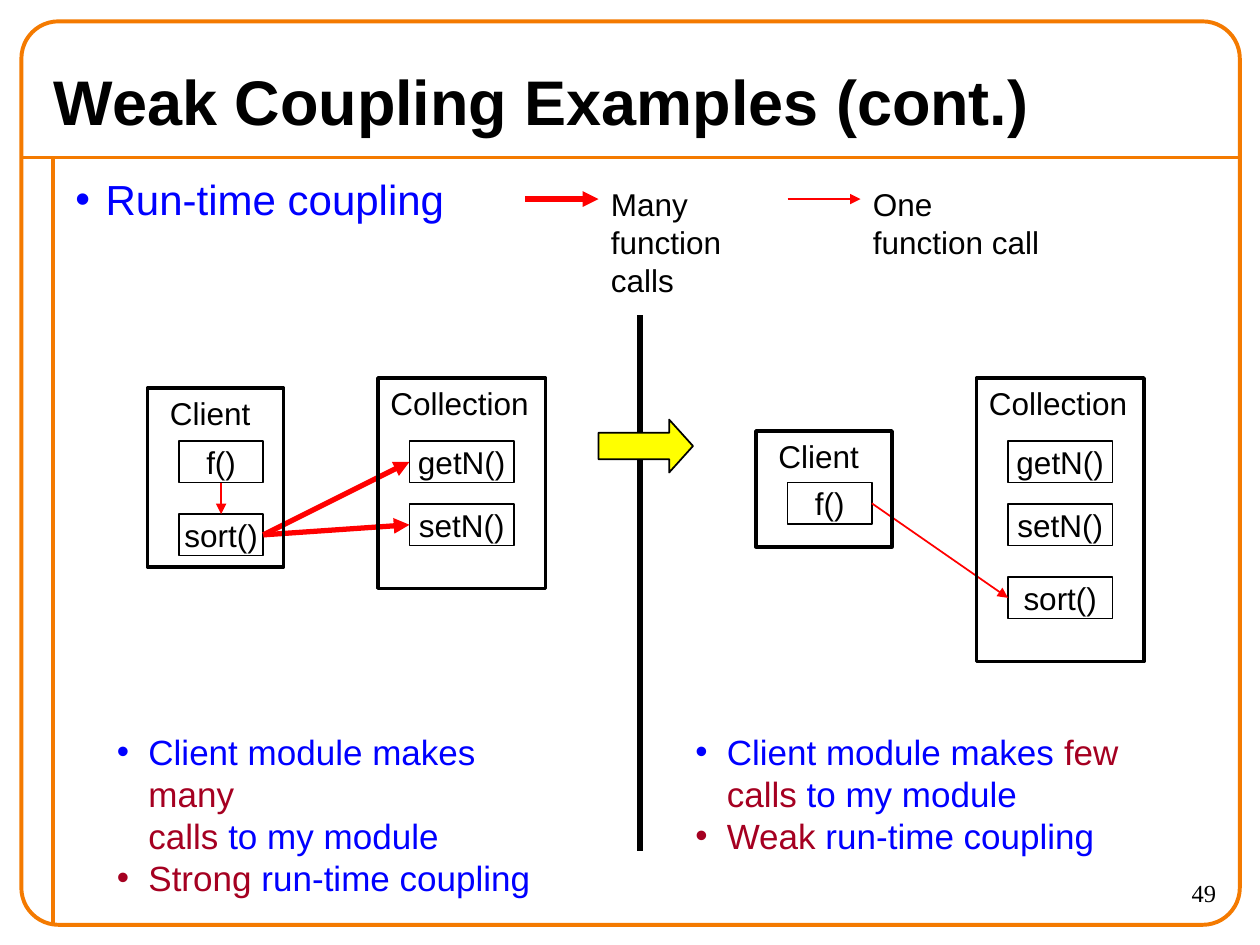
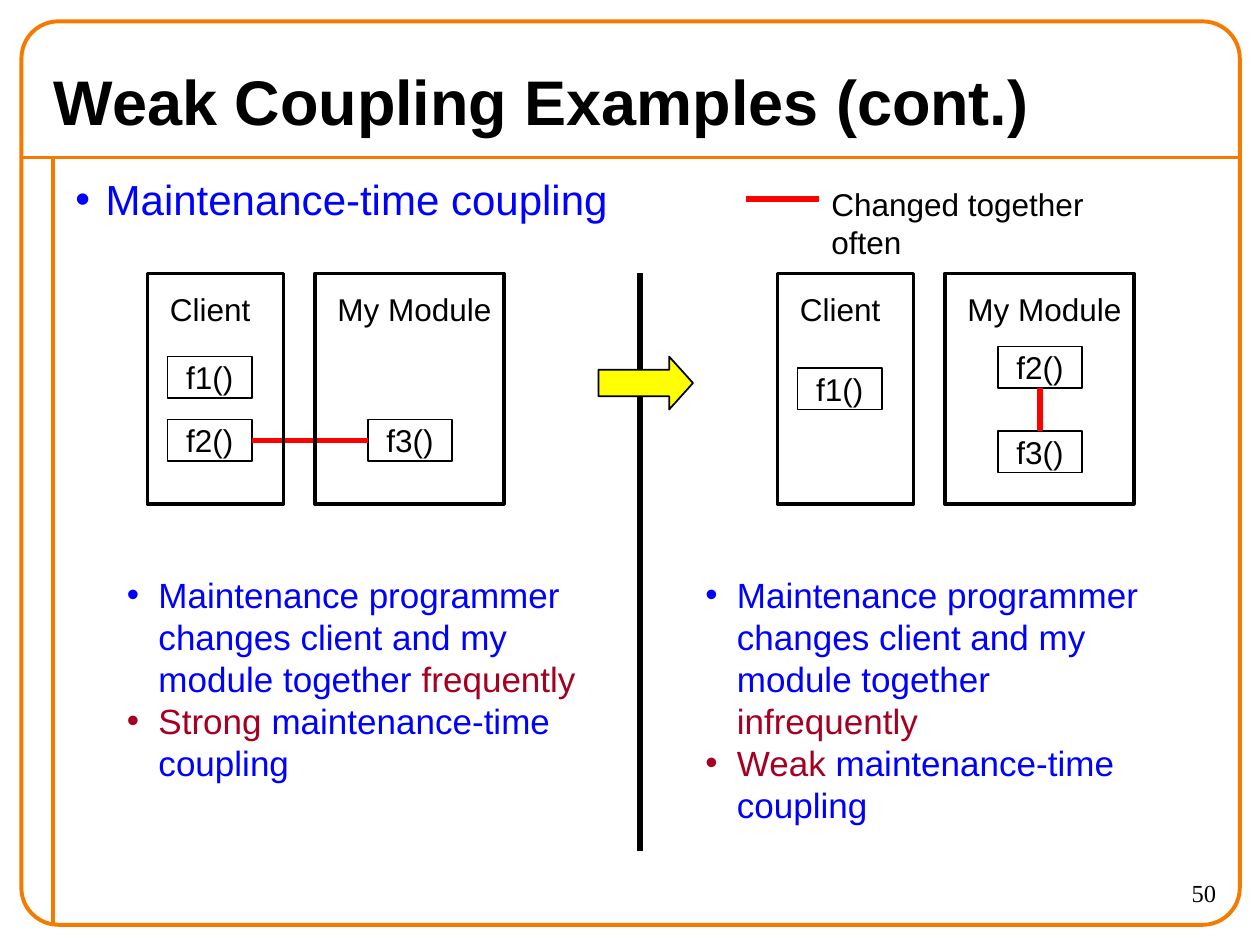
from lxml import etree
from pptx import Presentation
from pptx.dml.color import RGBColor
from pptx.enum.shapes import MSO_CONNECTOR as Connector, MSO_SHAPE as Shape
from pptx.enum.text import MSO_ANCHOR as Anchor, PP_ALIGN as Align
from pptx.oxml.ns import qn
from pptx.util import Inches, Pt

COLOURS = {
    "frame": "F47A00",
    "ink": "000000",
    "point": "0000FF",
    "stress": "A50021",
    "call": "FF0000",
    "arrow": "FFFF00",
}
LABEL_WIDTHS = {"Client": 0.84, "Collection": 1.3, "My Module": 1.42}
TOP, LEFT, BOTTOM, RIGHT = range(4)
THIN, MEDIUM, THICK = 1, 2, 3
FUNCTION_HEIGHT = 0.33
DIVIDER_X = 5.08


def colour(name):
    return RGBColor.from_string(COLOURS[name])


class CouplingDeck:
    def __init__(self):
        self.deck = Presentation()
        self.deck.slide_width = Inches(10)
        self.deck.slide_height = Inches(7.5)
        self.page = None

    def new_page(self, number, topic):
        self.page = self.deck.slides.add_slide(self.deck.slide_layouts[6])
        self.line((0.17, 1.25), (9.83, 1.25), "frame", 2.25)
        self.line((0.42, 1.25), (0.42, 7.33), "frame", 2.25)
        border = self.outline(Shape.ROUNDED_RECTANGLE, 0.17, 0.17, 9.67, 7.17, 2.25, "frame")
        border.adjustments[0] = 0.041
        self.text(str(number), 8.75, 6.92, 1, 0.42, 14, font="Times New Roman", align=Align.RIGHT)
        self.text("Weak Coupling Examples (cont.)", 0.33, 0.42, 9.33, 0.75, 36,
                  bold=True, anchor=Anchor.MIDDLE)
        self.bullets([topic], 0.5, 1.33, 9.25, 0.5, 24, 0.24)

    def outline(self, kind, left, top, width, height, weight, line="ink", fill=None):
        shape = self.page.shapes.add_shape(
            kind, Inches(left), Inches(top), Inches(width), Inches(height))
        shape.shadow.inherit = False
        if fill:
            shape.fill.solid()
            shape.fill.fore_color.rgb = colour(fill)
        else:
            shape.fill.background()
        shape.line.color.rgb = colour(line)
        shape.line.width = Pt(weight)
        return shape

    def line(self, start, end, name, weight, arrow=False):
        points = [Inches(value) for value in (*start, *end)]
        line = self.page.shapes.add_connector(Connector.STRAIGHT, *points)
        line.line.color.rgb = colour(name)
        line.line.width = Pt(weight)
        properties = line.element.spPr
        if arrow:
            etree.SubElement(properties.find(qn("a:ln")), qn("a:tailEnd"), type="triangle")
        etree.SubElement(properties, qn("a:effectLst"))
        return line

    def link(self, source, source_side, target, target_side, weight, arrow=True):
        line = self.line((0, 0), (1, 1), "call", weight, arrow)
        line.begin_connect(source, source_side)
        line.end_connect(target, target_side)

    def style(self, span, size, name="ink", font="Arial", bold=False):
        span.font.size = Pt(size)
        span.font.name = font
        span.font.bold = bold
        span.font.color.rgb = colour(name)

    def text_box(self, left, top, width, height, wrap):
        box = self.page.shapes.add_textbox(
            Inches(left), Inches(top), Inches(width), Inches(height))
        box.text_frame.word_wrap = wrap
        return box.text_frame

    def text(self, words, left, top, width, height, size=18, font="Arial", bold=False,
             align=Align.LEFT, anchor=Anchor.TOP, wrap=True):
        frame = self.text_box(left, top, width, height, wrap)
        frame.vertical_anchor = anchor
        frame.text = words
        for para in frame.paragraphs:
            para.alignment = align
            for span in para.runs:
                self.style(span, size, font=font, bold=bold)

    def bullets(self, items, left, top, width, height, size=20, indent=0.25):
        frame = self.text_box(left, top, width, height, False)
        for index, item in enumerate(items):
            para = frame.add_paragraph() if index else frame.paragraphs[0]
            name = "stress" if item.startswith("*") else "point"
            properties = para._p.get_or_add_pPr()
            properties.set("marL", str(Inches(indent)))
            properties.set("indent", str(-Inches(indent)))
            bullet_colour = etree.SubElement(properties, qn("a:buClr"))
            etree.SubElement(bullet_colour, qn("a:srgbClr"), val=COLOURS[name])
            etree.SubElement(properties, qn("a:buFont"), typeface="Arial")
            etree.SubElement(properties, qn("a:buChar"), char="•")
            for part, piece in enumerate(item.split("*")):
                for row, words in enumerate(piece.split("\n")):
                    if row:
                        para.add_line_break()
                    if words:
                        span = para.add_run()
                        span.text = words
                        self.style(span, size, "stress" if part % 2 else "point")

    def function(self, name, left, top, width=0.67):
        box = self.outline(Shape.RECTANGLE, left, top, width, FUNCTION_HEIGHT, THIN)
        frame = box.text_frame
        frame.word_wrap = False
        frame.vertical_anchor = Anchor.MIDDLE
        frame.text = name
        para = frame.paragraphs[0]
        para.alignment = Align.CENTER
        self.style(para.runs[0], 18)
        return box

    def module(self, name, left, top, width, height, label_dx=0.08, label_dy=0):
        self.outline(Shape.RECTANGLE, left, top, width, height, MEDIUM)
        self.text(name, left + label_dx, top + label_dy, LABEL_WIDTHS[name], 0.4, wrap=False)

    def divider(self, top, arrow_top):
        self.line((DIVIDER_X, top), (DIVIDER_X, 6.75), "ink", THICK)
        arrow = self.outline(Shape.RIGHT_ARROW, 4.75, arrow_top, 0.75, 0.42, THIN, fill="arrow")
        arrow.adjustments[1] = 0.45

    def legend(self, words, left, width, height, weight, arrow=True):
        self.line((left, 1.58), (left + 0.58, 1.58), "call", weight, arrow)
        self.text(words, left + 0.58, 1.42, width, height, wrap=False)


def run_time_page(deck):
    deck.new_page(49, "Run-time coupling")
    deck.legend("Many\nfunction calls", 4.17, 1.64, 0.7, THICK)
    deck.legend("One\nfunction call", 6.25, 1.52, 0.7, THIN)
    deck.divider(2.5, 3.33)

    caller = deck.function("f()", 1.42, 3.5)
    sorter = deck.function("sort()", 1.42, 4.08)
    for name, top in (("getN()", 3.5), ("setN()", 4)):
        accessor = deck.function(name, 3.25, top, 0.83)
        deck.function(name, 8, top, 0.83)
        deck.link(sorter, RIGHT, accessor, LEFT, THICK)
    deck.link(caller, BOTTOM, sorter, TOP, THIN)
    deck.module("Client", 1.17, 3.08, 1.08, 1.42)
    deck.module("Collection", 3, 3, 1.33, 1.67, 0)

    caller = deck.function("f()", 6.25, 3.83)
    sorter = deck.function("sort()", 8, 4.58, 0.83)
    deck.link(caller, RIGHT, sorter, LEFT, THIN)
    deck.module("Client", 6, 3.42, 1.08, 0.92)
    deck.module("Collection", 7.75, 3, 1.33, 2.25, 0)

    for left, width, amount, strength in (
            (0.83, 3.8, "many", "Strong"), (5.42, 3.56, "few", "Weak")):
        deck.bullets([f"Client module makes *{amount}\ncalls* to my module",
                      f"*{strength}* run-time coupling"], left, 5.75, width, 1.1)


def maintenance_page(deck):
    deck.new_page(50, "Maintenance-time coupling")
    deck.legend("Changed together often", 5.92, 2.82, 0.4, THICK, arrow=False)
    deck.divider(2.17, 2.83)

    deck.function("f1()", 1.33, 2.83)
    second = deck.function("f2()", 1.33, 3.33)
    third = deck.function("f3()", 2.92, 3.33)
    deck.link(second, RIGHT, third, LEFT, THICK, arrow=False)

    deck.function("f1()", 6.33, 2.92)
    second = deck.function("f2()", 7.92, 2.75)
    third = deck.function("f3()", 7.92, 3.42)
    deck.link(second, BOTTOM, third, TOP, THICK, arrow=False)

    for left in (1.17, 6.17):
        deck.module("Client", left, 2.17, 1.08, 1.83, label_dy=0.08)
        deck.module("My Module", left + 1.33, 2.17, 1.5, 1.83, label_dy=0.08)

    for left, width, pace, strength in (
            (0.91, 3.76, "frequently", "Strong"), (5.5, 3.97, "infrequently", "Weak")):
        deck.bullets(
            [f"Maintenance programmer\nchanges client and my\nmodule together *{pace}*",
             f"*{strength}* maintenance-time\ncoupling"], left, 4.5, width, 1.77)


def main():
    coupling = CouplingDeck()
    run_time_page(coupling)
    maintenance_page(coupling)
    coupling.deck.save("out.pptx")


if __name__ == "__main__":
    main()
